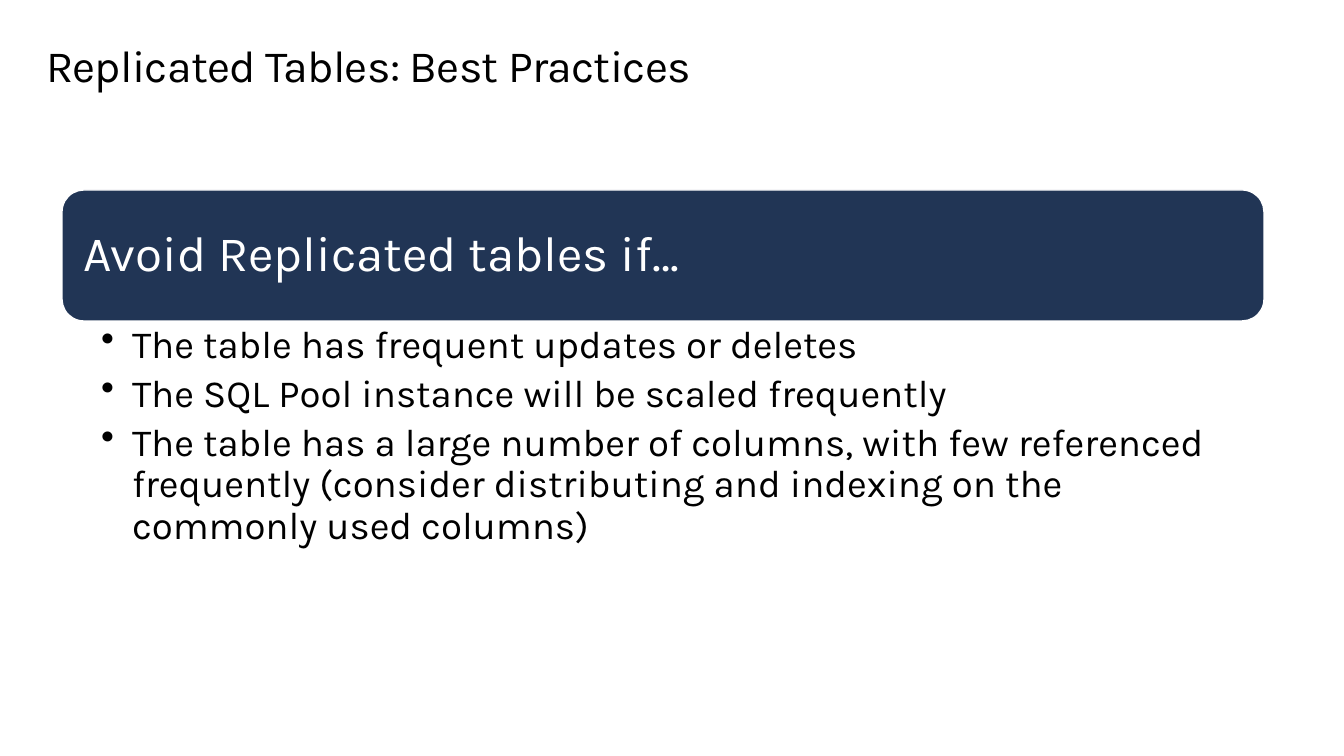
"""Build the slide on best practices for replicated tables."""
from pptx import Presentation
from pptx.dml.color import RGBColor
from pptx.enum.shapes import MSO_SHAPE
from pptx.enum.text import MSO_ANCHOR, MSO_AUTO_SIZE, PP_ALIGN
from pptx.oxml.ns import qn
from pptx.util import Pt
from lxml.etree import SubElement

PX = 9255
REASONS = [
    "The table has frequent updates or deletes",
    "The SQL Pool instance will be scaled frequently",
    "The table has a large number of columns, with few referenced frequently "
    "(consider distributing and indexing on the commonly used columns)",
]


def set_frame(frame, left, top, right, bottom):
    frame.word_wrap = True
    frame.margin_left, frame.margin_top = left * PX, top * PX
    frame.margin_right, frame.margin_bottom = right * PX, bottom * PX


def style(paragraph, size, color, line_spacing):
    paragraph.alignment = PP_ALIGN.LEFT
    paragraph.line_spacing = line_spacing
    for run in paragraph.runs:
        run.font.name = "Karla"
        run.font.size = Pt(size)
        run.font.color.rgb = RGBColor.from_string(color)


prs = Presentation()
prs.slide_width, prs.slide_height = 1344 * PX, 756 * PX
slide = prs.slides.add_slide(prs.slide_layouts[6])

title = slide.shapes.add_textbox(46 * PX, 41 * PX, 1225 * PX, 51 * PX).text_frame
set_frame(title, 0, 0, 0, 0)
title.auto_size = MSO_AUTO_SIZE.SHAPE_TO_FIT_TEXT
title.text = "Replicated Tables: Best Practices"
style(title.paragraphs[0], 32.6, "000000", Pt(36.9))
title.paragraphs[0].runs[0].font._element.set("spc", "-50")

banner = slide.shapes.add_shape(
    MSO_SHAPE.ROUNDED_RECTANGLE, 62 * PX, 190 * PX, 1202 * PX, 131 * PX)
banner.shadow.inherit = False
banner.fill.solid()
banner.fill.fore_color.rgb = RGBColor.from_string("213555")
banner.line.color.rgb = RGBColor.from_string("FFFFFF")
banner.line.width = Pt(1)
heading = banner.text_frame
set_frame(heading, 15, 15, 15, 15)
heading.vertical_anchor = MSO_ANCHOR.MIDDLE
heading.text = "Avoid Replicated tables if…"
style(heading.paragraphs[0], 36, "FFFFFF", 0.9)

reasons = slide.shapes.add_textbox(62 * PX, 321 * PX, 1202 * PX, 262 * PX).text_frame
set_frame(reasons, 39, 4, 22, 4)
reasons.text = "\n".join(REASONS)
for reason in reasons.paragraphs:
    reason.level = 1
    properties = reason._p.get_or_add_pPr()
    properties.set("marL", str(31 * PX))
    properties.set("indent", str(-31 * PX))
    SubElement(properties, qn("a:buChar")).set("char", "•")
    style(reason, 28, "000000", 0.9)
    reason.space_after = Pt(5.5)

prs.save("out.pptx")
